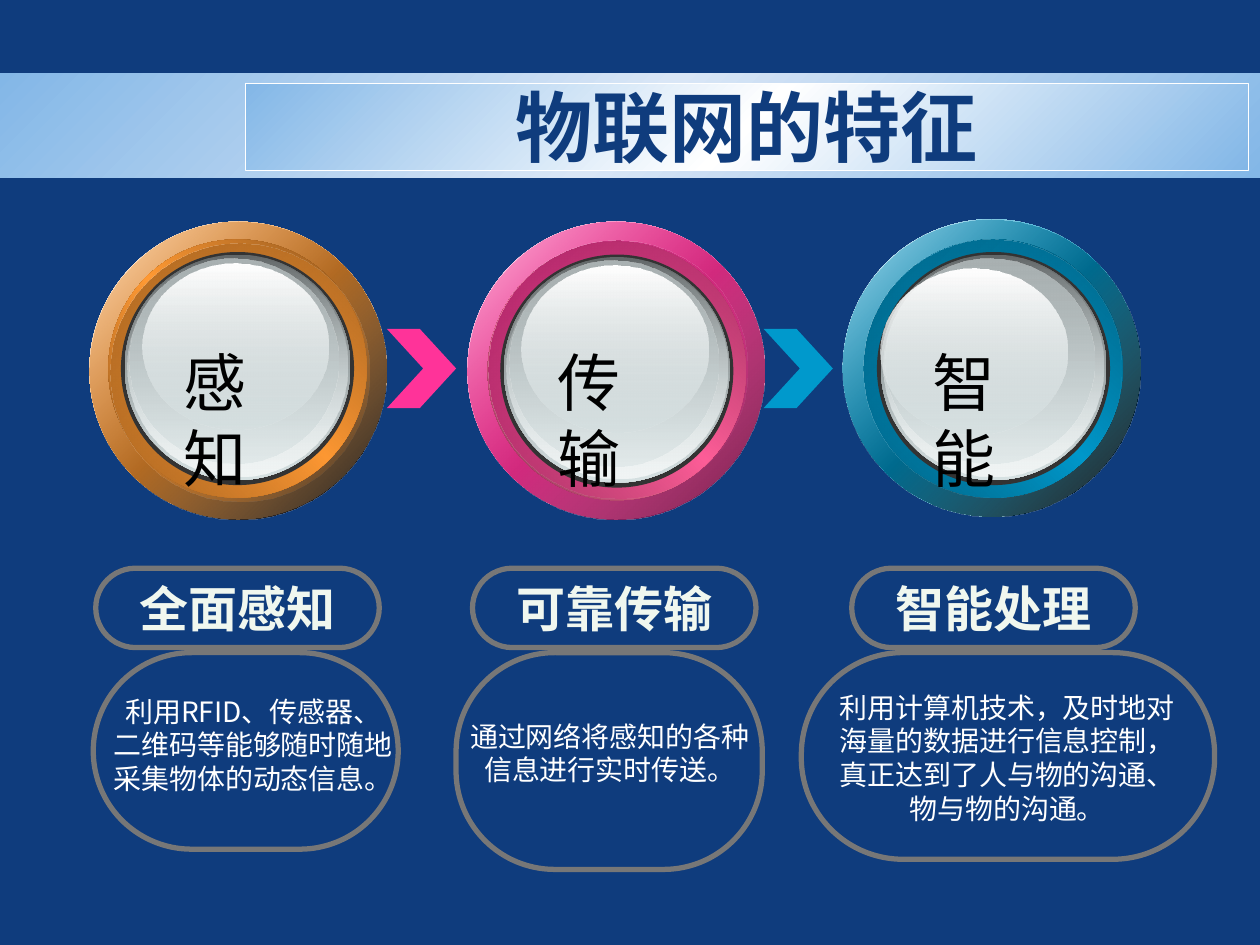
"""Build the slide on the three traits of the Internet of Things."""
from lxml import etree
from pptx import Presentation
from pptx import util as u
from pptx.dml.color import RGBColor
from pptx.enum import shapes, text
from pptx.oxml import ns

THEME = {
    "back": "0F3C7D", "sky": "83B7E7", "pale": "D9E6F6", "white": "FFFFFF",
    "black": "000000", "mint": "F0F7EF", "edge": "777777", "rim": "333333",
    "head": 44, "disc": 36, "name": 28, "body": 16,
    "cjk": "Noto Sans CJK SC", "sans": "DejaVu Sans", "arial": "Arial",
}
KIND = shapes.MSO_SHAPE
TITLE = "物联网的特征"
TRAITS = [
    {"word": "感知", "name": "全面感知", "body": "利用RFID、传感器、二维码等能够随时随地采集物体的动态信息。",
     "main": "FF9933", "dark": ("000000", 90), "ring": ("8A531C", "FF9933"), "glaze": "A26120",
     "disc": (0.71, 1.76), "shift": (-0.01, -0.02), "tint": (0.17, 0.17), "gloss": (0.43, 0.35),
     "label": 1.36, "pill": 0.76, "box": (0.74, 2.42, 1.56, 0.5), "note": (0.79, 5.46, 2.44, 0.91)},
    {"word": "传输", "name": "可靠传输", "body": "通过网络将感知的各种信息进行实时传送。",
     "main": "FF3399", "dark": ("761847", 100), "ring": ("8A3753", "FF6699"), "glaze": "A22061",
     "disc": (3.71, 1.76), "shift": (0, 0), "tint": (0.17, 0.15), "gloss": (0.43, 0.35),
     "label": 4.33, "pill": 3.75, "box": (3.62, 2.43, 1.72, 0.455), "note": (3.62, 5.66, 2.44, 0.64)},
    {"word": "智能", "name": "智能处理", "body": "利用计算机技术，及时地对海量的数据进行信息控制，真正达到了人与物的沟通、物与物的沟通。",
     "main": "0099CC", "dark": ("000000", 90), "ring": ("00536E", "0099CC"), "glaze": "006182",
     "disc": (6.69, 1.74), "shift": (0.01, 0), "tint": (0.16, 0.16), "gloss": (0.29, 0.39),
     "label": 7.3, "pill": 6.76, "box": (6.36, 3.28, 1.64, 0.492), "note": (6.54, 5.43, 2.91, 1.18)},
]
LENS = [
    (0.29, 0.28, 1.79, 1.79, [("636869", 100), ("D6E1E2", 100)]),
    (0.31, 0.29, 1.75, 1.75, [("D6E1E2", 0), ("F1F5F5", 100)]),
    (0.33, 0.31, 1.66, 1.63, [("AAB2B3", 100), ("D6E1E2", 48)]),
]
GLOSS = [("FFFFFF", 100), ("D6E1E2", 38)]
ARROWS = [(3.07, "FF3399"), (6.06, "0099CC")]


def solid(*tones):
    return [(tone, 100) for tone in tones]


def blend(shape, stops, angle):
    shape.fill.background()
    grad = etree.Element(ns.qn("a:gradFill"), rotWithShape="1")
    items = etree.SubElement(grad, ns.qn("a:gsLst"))
    for i, (tone, alpha) in enumerate(stops):
        stop = etree.SubElement(items, ns.qn("a:gs"), pos=str(100000 * i // (len(stops) - 1)))
        color = etree.SubElement(stop, ns.qn("a:srgbClr"), val=tone)
        if alpha < 100:
            etree.SubElement(color, ns.qn("a:alpha"), val=str(alpha * 1000))
    etree.SubElement(grad, ns.qn("a:lin"), ang=str(angle * 60000), scaled="1")
    props = shape._element.spPr
    props.replace(props.find(ns.qn("a:noFill")), grad)


def draw(host, kind, at, fill=None, angle=45, line=None, width=3, bend=None):
    shape = host.add_shape(kind, *map(u.Inches, at))
    shape.shadow.inherit = False
    if bend is not None:
        shape.adjustments[0] = bend
    if isinstance(fill, list):
        blend(shape, fill, angle)
    elif fill:
        shape.fill.solid()
        shape.fill.fore_color.rgb = RGBColor.from_string(fill)
    else:
        shape.fill.background()
    if line:
        shape.line.color.rgb = RGBColor.from_string(line)
        shape.line.width = u.Pt(width)
    else:
        shape.line.fill.background()
    return shape


def write(shape, words, size, face, tone, bold=False, wrap=True, mid=False, center=True):
    frame = shape.text_frame
    frame.word_wrap = wrap
    frame.vertical_anchor = text.MSO_ANCHOR.MIDDLE if mid else text.MSO_ANCHOR.TOP
    para = frame.paragraphs[0]
    para.text = words
    para.alignment = text.PP_ALIGN.CENTER if center else text.PP_ALIGN.LEFT
    font = para.font
    font.size, font.name, font.bold = u.Pt(size), face, bold
    font.color.rgb = RGBColor.from_string(tone)
    etree.SubElement(font._element, ns.qn("a:ea"), typeface=THEME["cjk"])


def label(host, at, *args, **opts):
    write(host.add_textbox(*map(u.Inches, at)), *args, **opts)


def disc(host, trait):
    group = host.add_group_shape().shapes
    left, top = trait["disc"]
    dx, dy = trait["shift"]
    main, white = trait["main"], THEME["white"]
    dark, bright = trait["ring"]

    def oval(x, y, w, h, fill, angle=90):
        draw(group, KIND.OVAL, (left + x, top + y, w, h), fill, angle)

    oval(0, 0, 2.36, 2.36, solid(white, main, white), 45)
    oval(0, 0, 2.36, 2.36, [(main, 32), trait["dark"]], 45)
    oval(0.16 + dx, 0.16 + dy, 2.05, 2.05, solid(dark, bright, dark), 315)
    oval(*trait["tint"], 2.05, 2.05, [(trait["glaze"], 100), (main, 0)], 45)
    oval(0.26 + dx, 0.26 + dy, 1.85, 1.85, THEME["rim"])
    for x, y, w, h, fill in LENS:
        oval(x + dx, y + dy, w, h, fill)
    x, y = trait["gloss"]
    oval(x + dx, y + dy, 1.48, 1.32, GLOSS)
    label(group, (trait["label"], 2.68, 0.88, 0.51), trait["word"],
          THEME["disc"], THEME["arial"], THEME["black"], center=False)


def main():
    deck = Presentation()
    deck.slide_width, deck.slide_height = u.Inches(10), u.Inches(7.5)
    slide = deck.slides.add_slide(deck.slide_layouts[6])
    slide.background.fill.solid()
    slide.background.fill.fore_color.rgb = RGBColor.from_string(THEME["back"])
    host = slide.shapes
    sky, white = THEME["sky"], THEME["white"]
    draw(host, KIND.ROUNDED_RECTANGLE, (0, 0.58, 10, 0.83), solid(sky, THEME["pale"], sky), bend=0)
    draw(host, KIND.RECTANGLE, (1.95, 0.66, 7.96, 0.69), solid(sky, white, sky), line=white, width=0.5)
    label(host, (1.95, 0.75, 7.96, 0.5), TITLE, THEME["head"], THEME["cjk"], THEME["back"],
          bold=True, mid=True)
    for left, tone in ARROWS:
        draw(host, KIND.CHEVRON, (left, 2.61, 0.55, 0.63), tone, bend=0.525)
    for trait in TRAITS:
        disc(host, trait)
        pill = draw(host, KIND.ROUNDED_RECTANGLE, (trait["pill"], 4.51, 2.25, 0.63),
                    line=THEME["edge"], bend=0.5)
        write(pill, trait["name"], THEME["name"], THEME["sans"], THEME["mint"],
              bold=True, wrap=False, mid=True)
        left, wide, high, bend = trait["box"]
        draw(host, KIND.ROUNDED_RECTANGLE, (left, 5.18, wide, high), line=THEME["edge"], bend=bend)
        label(host, trait["note"], trait["body"], THEME["body"], THEME["cjk"], white)
    deck.save("out.pptx")


if __name__ == "__main__":
    main()
